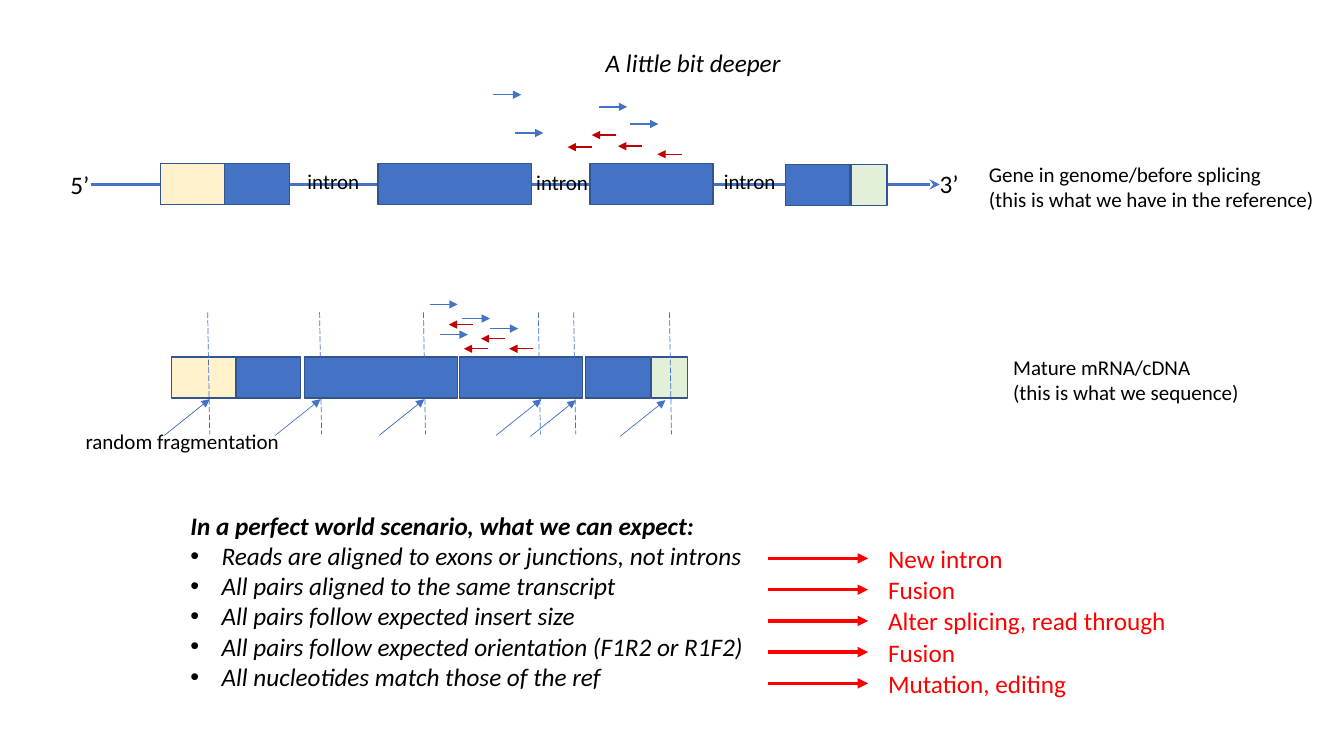
from lxml.etree import SubElement
from pptx import Presentation
from pptx.dml.color import RGBColor
from pptx.enum.dml import MSO_LINE
from pptx.enum.shapes import MSO_CONNECTOR, MSO_SHAPE
from pptx.enum.text import MSO_AUTO_SIZE as AutoSize
from pptx.oxml.ns import qn
from pptx.util import Inches, Pt

THEME = {
    "font": "Calibri",
    "body": Pt(18),
    "label": Pt(15),
    "black": RGBColor(0x00, 0x00, 0x00),
    "blue": RGBColor(0x44, 0x72, 0xC4),
    "outline": RGBColor(0x32, 0x54, 0x91),
    "cream": RGBColor(0xFF, 0xF2, 0xCC),
    "green": RGBColor(0xE2, 0xF0, 0xD9),
    "dark_red": RGBColor(0xC0, 0x00, 0x00),
    "red": RGBColor(0xFF, 0x00, 0x00),
}

presentation = Presentation()
presentation.slide_width = Inches(13.33)
presentation.slide_height = Inches(7.5)
slide = presentation.slides.add_slide(presentation.slide_layouts[6])


def add_text(left, top, width, height, lines, size="body", color="black", wrap=False, **extra):
    box = slide.shapes.add_textbox(Inches(left), Inches(top), Inches(width), Inches(height))
    frame_format = {"word_wrap": wrap, "auto_size": AutoSize.SHAPE_TO_FIT_TEXT}
    for name, value in frame_format.items():
        setattr(box.text_frame, name, value)
    box.text_frame.text = "\n".join(lines)
    font_format = {"name": THEME["font"], "size": THEME[size], **extra}
    for paragraph in box.text_frame.paragraphs:
        font = paragraph.runs[0].font
        font.color.rgb = THEME[color]
        for name, value in font_format.items():
            setattr(font, name, value)
    return box


def add_line(start_x, start_y, end_x, end_y, color, width, head="triangle", dash=None):
    points = [Inches(value) for value in (start_x, start_y, end_x, end_y)]
    connector = slide.shapes.add_connector(MSO_CONNECTOR.STRAIGHT, *points)
    connector.line.color.rgb = THEME[color]
    line_format = {"width": Pt(width), "dash_style": dash}
    for name, value in line_format.items():
        setattr(connector.line, name, value)
    properties = connector._element.spPr
    if head:
        SubElement(properties.find(qn("a:ln")), qn("a:tailEnd"), type=head)
    SubElement(properties, qn("a:effectLst"))


add_text(5.91, 0.42, 1.96, 0.4, ["A little bit deeper"], italic=True)
add_line(0.9, 1.83, 9.32, 1.83, "blue", 2.5, "stealth")

SEGMENTS = [
    (0.64, "cream"), (0.64, "blue"), (1.52, "blue"),
    (1.22, "blue"), (0.64, "blue"), (0.36, "green"),
]
TRANSCRIPTS = [
    ([1.59, 2.23, 3.75, 5.85, 7.79, 8.44], [1.62] * 4 + [1.63] * 2),
    ([1.7, 2.34, 3.02, 4.56, 5.81, 6.46], [3.54] * 6),
]
for lefts, tops in TRANSCRIPTS:
    for left, top, (width, color) in zip(lefts, tops, SEGMENTS):
        segment = slide.shapes.add_shape(
            MSO_SHAPE.RECTANGLE, Inches(left), Inches(top), Inches(width), Inches(0.41)
        )
        segment.shadow.inherit = False
        segment.fill.solid()
        segment.fill.fore_color.rgb = THEME[color]
        segment.line.color.rgb = THEME["outline"]
        segment.line.width = Pt(1)

add_text(9.71, 1.55, 3.46, 0.61,
         ["Gene in genome/before splicing", "(this is what we have in the reference)"], "label")
add_text(9.95, 3.47, 2.46, 0.61, ["Mature mRNA/cDNA", "(this is what we sequence)"], "label")
for left, top, end_label in [(0.6, 1.63, "5’"), (9.22, 1.62, "3’")]:
    add_text(left, top, 0.39, 0.4, [end_label])
for left, top in [(2.95, 1.62), (5.22, 1.63), (7.08, 1.62)]:
    add_text(left, top, 0.72, 0.35, ["intron"], "label")

FRAGMENT_TIPS = [(2.08, 3.96), (3.18, 3.96), (4.21, 3.96), (5.37, 3.96), (5.71, 3.97), (6.6, 3.97)]
for tip_x, tip_y in FRAGMENT_TIPS:
    add_line(tip_x - 0.45, tip_y + 0.36, tip_x, tip_y, "blue", 0.5)
add_text(0.75, 4.2, 2.14, 0.35, ["random fragmentation"], "label")
for cut_x in [2.06, 3.17, 4.2, 5.34, 5.69, 6.64]:
    add_line(cut_x, 3.1, cut_x + 0.02, 4.31, "blue", 0.5, None, MSO_LINE.LONG_DASH)

READ_PAIRS = [
    ((4.86, 3.26), (5.29, 3.46)),
    ((4.36, 3.32), (4.84, 3.46)),
    ((4.58, 3.16), (5.01, 3.36)),
    ((4.26, 3.02), (4.69, 3.22)),
    ((6.25, 1.23), (6.11, 1.34)),
    ((5.11, 1.32), (6.37, 1.45)),
    ((5.94, 1.06), (6.76, 1.53)),
    ((4.89, 0.94), (5.87, 1.46)),
]
for (forward_x, forward_y), (reverse_x, reverse_y) in READ_PAIRS:
    add_line(forward_x, forward_y, forward_x + 0.28, forward_y, "blue", 1)
    add_line(reverse_x, reverse_y, reverse_x - 0.24, reverse_y, "dark_red", 1)

expectations = add_text(1.79, 5.01, 5.73, 2.52, [
    "In a perfect world scenario, what we can expect:",
    "Reads are aligned to exons or junctions, not introns",
    "All pairs aligned to the same transcript",
    "All pairs follow expected insert size",
    "All pairs follow expected orientation (F1R2 or R1F2)",
    "All nucleotides match those of the ref",
], italic=True)
heading, *bullets = expectations.text_frame.paragraphs
heading.runs[0].font.bold = True
for paragraph in bullets:
    properties = paragraph._p.get_or_add_pPr()
    indent = Inches(0.31)
    for name, value in {"marL": indent, "indent": -indent}.items():
        properties.set(name, str(value))
    SubElement(properties, qn("a:buFont"), typeface="Arial")
    SubElement(properties, qn("a:buChar"), char="•")

VIOLATIONS = [
    ("New intron", 1.81),
    ("Fusion", 1.81),
    ("Alter splicing, read through", 3.33),
    ("Fusion", 1.81),
    ("Mutation, editing", 2.23),
]
for row, (violation, width) in enumerate(VIOLATIONS):
    arrow_y = 5.54 + 0.31 * row
    add_line(7.62, arrow_y, 8.61, arrow_y, "red", 2.5)
    add_text(8.71, arrow_y - 0.2, width, 0.4, [violation], color="red", wrap=True)

presentation.save("out.pptx")
